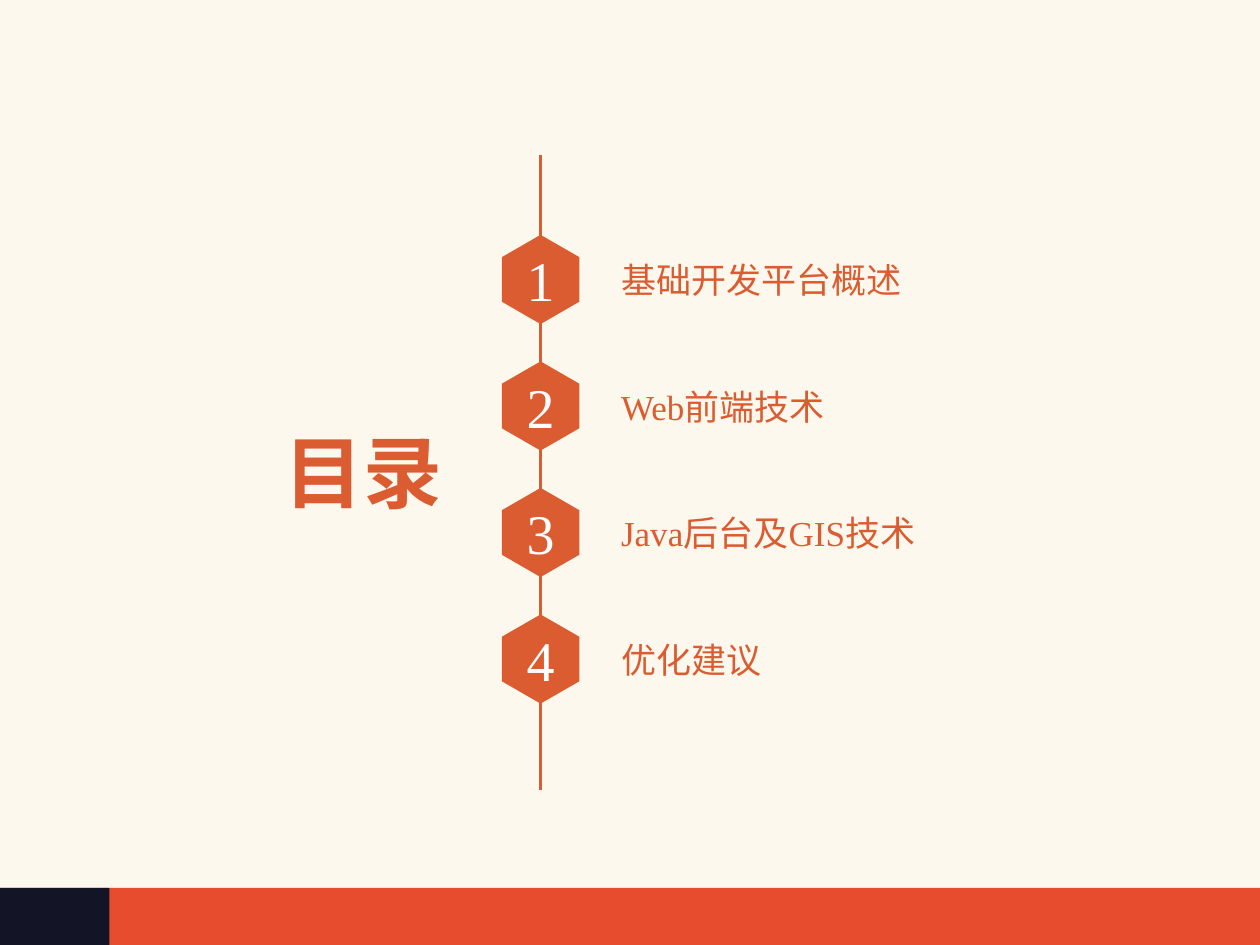
from lxml.etree import SubElement
from pptx import Presentation
from pptx.dml.color import RGBColor
from pptx.enum.shapes import MSO_CONNECTOR, MSO_SHAPE
from pptx.enum.text import MSO_ANCHOR, MSO_AUTO_SIZE, PP_ALIGN
from pptx.oxml.ns import qn
from pptx.util import Pt

CREAM = RGBColor(0xFC, 0xF8, 0xED)
RED = RGBColor(0xE7, 0x4C, 0x2E)
NAVY = RGBColor(0x13, 0x14, 0x26)
ORANGE = RGBColor(0xDC, 0x5C, 0x31)
WHITE = RGBColor(0xFF, 0xFF, 0xFF)

TITLE_FONT = {"name": "Noto Sans CJK SC", "size": Pt(45), "bold": True}
LABEL_FONT = {"name": "Times New Roman", "size": Pt(20)}
NUMBER_FONT = {"name": "Times New Roman", "size": Pt(32)}

# Agenda entries with the width of each label
ENTRIES = [("基础开发平台概述", 176.4), ("Web前端技术", 133.2),
           ("Java后台及GIS技术", 183.6), ("优化建议", 96)]


def write_text(shape, text, font_values, color, **frame_values):
    frame = shape.text_frame
    for name, value in {"word_wrap": True, **frame_values}.items():
        setattr(frame, name, value)
    paragraph = frame.paragraphs[0]
    run = paragraph.add_run()
    run.text = text
    for name, value in font_values.items():
        setattr(run.font, name, value)
    run.font.color.rgb = color
    return paragraph


def paint(shape, color):
    shape.shadow.inherit = False
    shape.fill.solid()
    shape.fill.fore_color.rgb = color
    shape.line.fill.background()


def add_footer(slide, left, top, width, height):
    # Full red band with a navy block at its left end
    for band_width, color in ((width, RED), (62.6, NAVY)):
        band = slide.shapes.add_shape(MSO_SHAPE.RECTANGLE, Pt(left), Pt(top),
                                      Pt(band_width), Pt(height))
        paint(band, color)


def add_title(slide, left, top, width, height):
    title = slide.shapes.title
    place = {"left": left, "top": top, "width": width, "height": height}
    for name, value in place.items():
        setattr(title, name, Pt(value))
    paragraph = write_text(title, "目录", TITLE_FONT, ORANGE,
                           vertical_anchor=MSO_ANCHOR.TOP,
                           auto_size=MSO_AUTO_SIZE.NONE)
    paragraph.alignment = PP_ALIGN.LEFT
    properties = paragraph.runs[0].font._element
    SubElement(properties, qn("a:ea")).set("typeface", TITLE_FONT["name"])


def add_hexagon(slide, number, left, top, width, height):
    right, middle = left + width, left + width / 2
    upper, lower = top + height / 4, top + height * 3 / 4
    outline = [(right, upper), (right, lower), (middle, top + height),
               (left, lower), (left, upper)]
    builder = slide.shapes.build_freeform(Pt(middle), Pt(top))
    builder.add_line_segments([(Pt(x), Pt(y)) for x, y in outline], close=True)
    hexagon = builder.convert_to_shape()
    paint(hexagon, ORANGE)
    paragraph = write_text(hexagon, str(number), NUMBER_FONT, WHITE,
                           vertical_anchor=MSO_ANCHOR.MIDDLE)
    paragraph.alignment = PP_ALIGN.CENTER


def add_agenda(slide, left, top, height):
    hexagon_width, hexagon_height = 44.2, 51
    first_top, step = top + 45.6, 72.3
    middle = left + hexagon_width / 2

    # Timeline behind the hexagons
    timeline = slide.shapes.add_connector(MSO_CONNECTOR.STRAIGHT, Pt(middle), Pt(top),
                                          Pt(middle), Pt(top + height))
    timeline.line.color.rgb = ORANGE
    timeline.line.width = Pt(1.5)
    SubElement(timeline._element.spPr, qn("a:effectLst"))

    # Numbered hexagons with their labels
    for index, (text, width) in enumerate(ENTRIES):
        entry_top = first_top + index * step
        add_hexagon(slide, index + 1, left, entry_top, hexagon_width, hexagon_height)
        label = slide.shapes.add_textbox(Pt(left + 61), Pt(entry_top + 10),
                                         Pt(width), Pt(31.5))
        write_text(label, text, LABEL_FONT, ORANGE)


def main():
    presentation = Presentation()
    presentation.slide_width, presentation.slide_height = Pt(720), Pt(540)
    slide = presentation.slides.add_slide(presentation.slide_layouts[5])
    slide.background.fill.solid()
    slide.background.fill.fore_color.rgb = CREAM
    add_footer(slide, 0, 507.4, 720, 32.6)
    add_title(slide, 155.5, 238.3, 108, 62)
    add_agenda(slide, 286.8, 88.6, 363)
    presentation.save("out.pptx")


if __name__ == "__main__":
    main()
